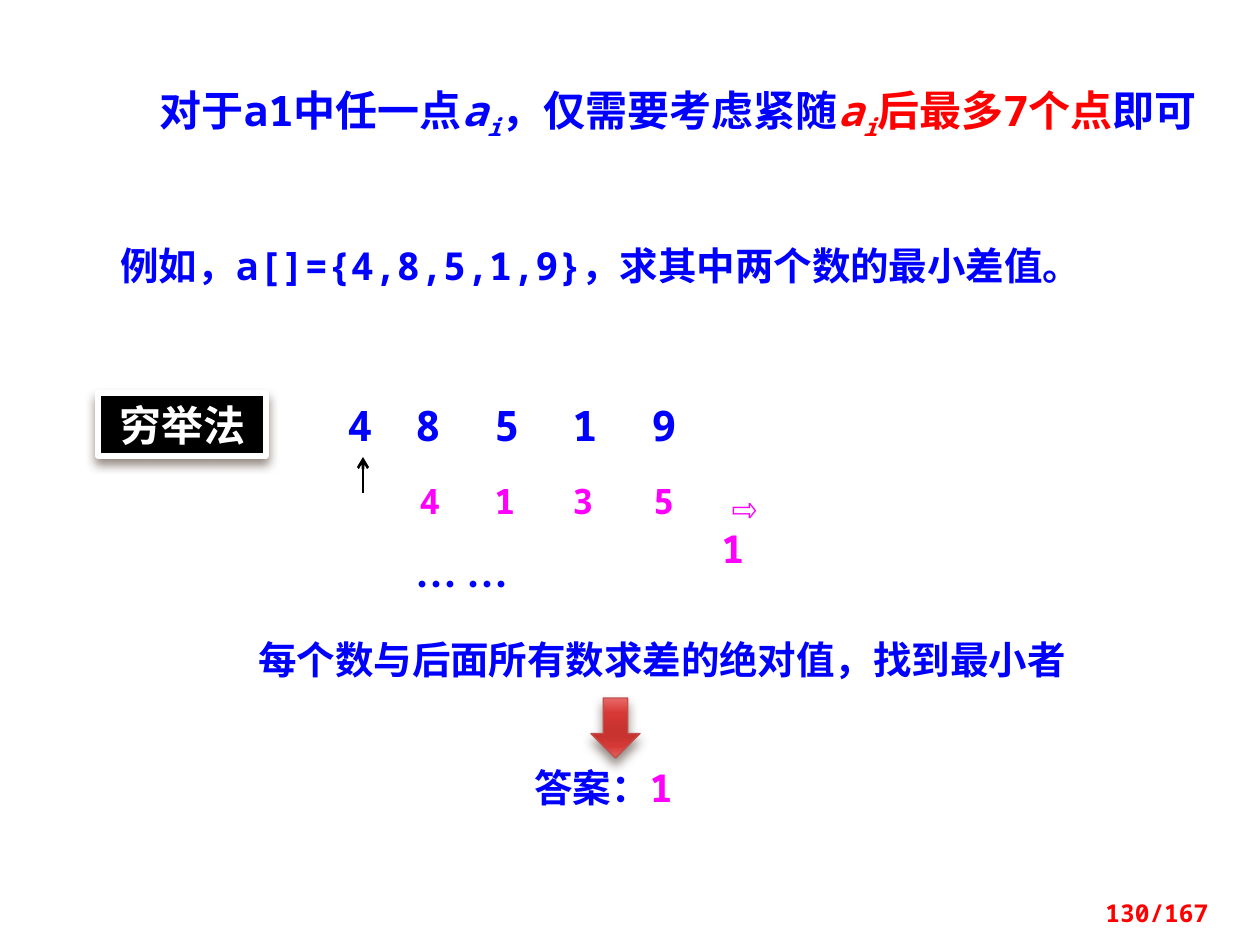
import lxml.etree
import pptx
import pptx.dml.color
import pptx.enum.shapes
import pptx.enum.text
import pptx.oxml
import pptx.oxml.ns
import pptx.util

PX = 914400 // 126
MONO = "Noto Sans Mono"
CJK = "Noto Sans CJK SC"
COLORS = {"blue": "0000FF", "red": "FF0000", "magenta": "FF00FF",
          "black": "000000", "white": "FFFFFF", "arrow_edge": "C0504D",
          "shadow": "4E3B30"}
ARROW_STOPS = {0: "E86A68", 25: "D73936", 50: "C83330",
               65: "C83330", 80: "D53935", 100: "E26260"}
ALIGN = pptx.enum.text.PP_ALIGN
SHAPE = pptx.enum.shapes.MSO_SHAPE
qn = pptx.oxml.ns.qn


def rgb(name):
    return pptx.dml.color.RGBColor.from_string(COLORS[name])


def write(text, box=None, shape=None, size=24, color="blue", font=MONO,
          align=ALIGN.LEFT, grow=True):
    """Write into shape, or into a new text box at box; text is a string
    or a list of (text, color, style) with style "", "italic" or "sub"."""
    if shape is None:
        shape = slide.shapes.add_textbox(*(v * PX for v in box))
    frame = shape.text_frame
    frame.word_wrap = True
    if grow:
        frame.auto_size = pptx.enum.text.MSO_AUTO_SIZE.SHAPE_TO_FIT_TEXT
    paragraph = frame.paragraphs[0]
    paragraph.alignment = align
    parts = [(text, color, "")] if isinstance(text, str) else text
    for words, part_color, style in parts:
        run = paragraph.add_run()
        run.text = words
        run.font.size = pptx.util.Pt(size)
        run.font.bold = True
        run.font.italic = style != ""
        run.font.name = font
        run.font.color.rgb = rgb(part_color)
        properties = run.font._element
        lxml.etree.SubElement(properties, qn("a:ea"), typeface=CJK)
        if style == "sub":
            properties.set("baseline", "-25000")


presentation = pptx.Presentation()
presentation.slide_width = pptx.util.Inches(10)
presentation.slide_height = pptx.util.Inches(7.5)
slide = presentation.slides.add_slide(presentation.slide_layouts[6])

# Claim and example
write("例如，a[]={4,8,5,1,9}，求其中两个数的最小差值。",
      box=(108, 236, 1033, 59), size=22)
write([("对于a1中任一点", "blue", ""), ("a", "blue", "italic"),
       ("i", "blue", "sub"), ("，仅需要考虑紧随", "blue", ""),
       ("a", "red", "italic"), ("i", "red", "sub"),
       ("后最多7个点", "red", ""), ("即可", "blue", "")],
      box=(147, 78, 1063, 63))

# Method label and result arrow
method = slide.shapes.add_shape(SHAPE.RECTANGLE, 98 * PX, 393 * PX, 168 * PX, 63 * PX)
method.fill.solid()
method.fill.fore_color.rgb = rgb("black")
method.line.color.rgb = rgb("white")
method.line.width = pptx.util.Pt(3)
write("穷举法", shape=method, color="white", font=CJK, align=ALIGN.CENTER)

result_arrow = slide.shapes.add_shape(SHAPE.DOWN_ARROW, 591 * PX, 698 * PX, 49 * PX, 60 * PX)
result_arrow.fill.gradient()
result_arrow.fill.gradient_angle = 270
stops = result_arrow._element.spPr.find(qn("a:gradFill")).find(qn("a:gsLst"))
for stop in list(stops):
    stops.remove(stop)
for position, value in ARROW_STOPS.items():
    stop = lxml.etree.SubElement(stops, qn("a:gs"), pos=str(position * 1000))
    lxml.etree.SubElement(stop, qn("a:srgbClr"), val=value)
result_arrow.line.color.rgb = rgb("arrow_edge")
result_arrow.line.width = pptx.util.Pt(0.79)

for raised in (method, result_arrow):
    raised.shadow.inherit = False
    effects = raised._element.spPr.find(qn("a:effectLst"))
    shadow = lxml.etree.SubElement(
        effects, qn("a:outerShdw"), blurRad=str(pptx.util.Pt(6)),
        dist=str(pptx.util.Pt(4)), dir="5400000", rotWithShape="0")
    shade = lxml.etree.SubElement(shadow, qn("a:srgbClr"), val=COLORS["shadow"])
    lxml.etree.SubElement(shade, qn("a:alpha"), val="60000")

# Numbers, and differences from the first one
for number, left in zip("48519", (335, 403, 482, 560, 639)):
    write(number, box=(left, 393, 59, 63))
for difference, left in zip("4135", (407, 482, 560, 641)):
    write(difference, box=(left, 473, 59, 55), size=20, color="magenta")
write("⇨1", box=(709, 473, 88, 59), size=22, color="magenta")
write("… …", box=(403, 552, 147, 63), font=CJK)

pointer = slide.shapes.add_connector(
    pptx.enum.shapes.MSO_CONNECTOR.STRAIGHT, 363 * PX, 493 * PX, 363 * PX, 457 * PX)
pointer.line.color.rgb = rgb("black")
pointer.line.width = pptx.util.Pt(1.5)
lxml.etree.SubElement(pointer.line._get_or_add_ln(), qn("a:tailEnd"), type="arrow")
lxml.etree.SubElement(pointer._element.spPr, qn("a:effectLst"))

# Conclusion and page number
write("每个数与后面所有数求差的绝对值，找到最小者",
      box=(246, 630, 886, 59), size=22)
write([("答案：", "blue", ""), ("1", "magenta", "")],
      box=(522, 758, 197, 59), size=22)
write("130/167", box=(1074, 892, 147, 33), size=14, color="red",
      align=ALIGN.RIGHT, grow=False)

presentation.save("out.pptx")
